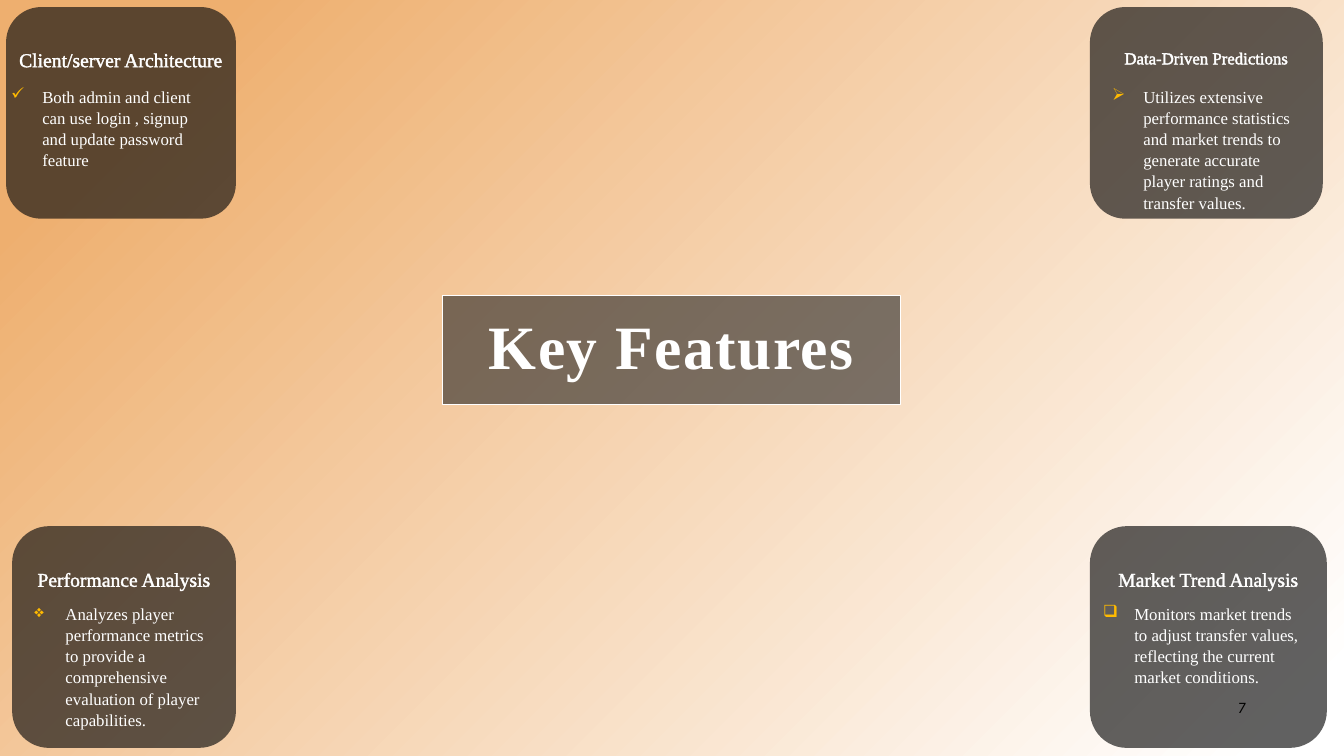
from lxml.etree import SubElement
from pptx import Presentation
from pptx.dml.color import RGBColor
from pptx.enum.shapes import MSO_SHAPE
from pptx.enum.text import MSO_ANCHOR, PP_ALIGN
from pptx.oxml import parse_xml
from pptx.oxml.ns import nsdecls, qn
from pptx.util import Inches, Pt

COLORS = {"text": "FFFFFF", "panel": "262626", "card": "0D0D0D",
          "bullet": "FFBA00", "number": "000000",
          "glow": "FFFFFF", "edge": "EEAF6F"}
SERIF = "Times New Roman"

# Card box, heading, heading size, body box offset and size, bullet, body text
CARDS = [
    ((0.06, 0.07, 2.28, 2.1), "Client/server Architecture", 14,
     (0.05, 0.73, 1.86, 1.19), "✓",
     "Both admin and client can use login , signup and update password feature"),
    ((10.81, 0.07, 2.31, 2.1), "Data-Driven Predictions", 12,
     (0.22, 0.73, 1.92, 1.1), "➢",
     "Utilizes extensive performance statistics and market trends to generate "
     "accurate player ratings and transfer values."),
    ((0.12, 5.22, 2.22, 2.2), "Performance Analysis", 14,
     (0.22, 0.71, 1.73, 1.35), "❖",
     "Analyzes player performance metrics to provide a comprehensive "
     "evaluation of player capabilities."),
    ((10.81, 5.22, 2.35, 2.2), "Market Trend Analysis", 14,
     (0.13, 0.71, 2.02, 1.12), "❑",
     "Monitors market trends to adjust transfer values, reflecting the "
     "current market conditions."),
]


def rgb(name):
    return RGBColor.from_string(COLORS[name])


def set_attrs(obj, values):
    for name, value in values.items():
        setattr(obj, name, value)


def add_panel(s, kind, box, color, alpha):
    """Add a translucent shape without shadow or line."""
    sp = s.shapes.add_shape(kind, *map(Inches, box))
    sp.shadow.inherit = False
    sp.line.fill.background()
    sp.fill.solid()
    sp.fill.fore_color.rgb = rgb(color)
    clr = sp.fill._xPr.find(qn("a:solidFill"))[0]
    SubElement(clr, qn("a:alpha"), val=str(alpha * 1000))
    return sp


def write(sp, text, size, frame, para, font=SERIF, color="text", bold=False,
          bullet=None):
    """Fill a shape with one formatted paragraph and return its run."""
    tf = sp.text_frame
    set_attrs(tf, {"word_wrap": True, **frame})
    p = tf.paragraphs[0]
    if bullet:
        pPr = p._p.get_or_add_pPr()
        pPr.set("marL", str(Inches(0.31)))
        pPr.set("indent", str(-Inches(0.31)))
        clr = SubElement(pPr, qn("a:buClr"))
        SubElement(clr, qn("a:srgbClr"), val=COLORS["bullet"])
        SubElement(pPr, qn("a:buChar"), char=bullet)
    set_attrs(p, para)
    r = p.add_run()
    r.text = text
    set_attrs(r.font, {"name": font, "size": Pt(size), "bold": bold})
    r.font.color.rgb = rgb(color)
    return r


def add_background(s):
    """Gradient spreading from the bottom right corner."""
    fill = s.background.fill
    fill.gradient()
    old = s._element.find(".//" + qn("a:gradFill"))
    stops = "".join(
        f'<a:gs pos="{pos * 1000}"><a:srgbClr val="{COLORS[c]}"/></a:gs>'
        for pos, c in ((4, "glow"), (89, "edge")))
    old.getparent().replace(old, parse_xml(
        f'<a:gradFill {nsdecls("a")} rotWithShape="1"><a:gsLst>{stops}</a:gsLst>'
        '<a:path path="circle"><a:fillToRect l="100000" t="100000"/></a:path>'
        '<a:tileRect r="-100000" b="-100000"/></a:gradFill>'))


def add_title(s, box, text):
    sp = add_panel(s, MSO_SHAPE.RECTANGLE, box, "panel", 60)
    sp.line.color.rgb = rgb("text")
    sp.line.width = Pt(0.75)
    r = write(sp, text, 44, {"vertical_anchor": MSO_ANCHOR.MIDDLE},
              {"alignment": PP_ALIGN.CENTER, "line_spacing": 0.9}, bold=True)
    r.font._element.set("spc", "100")


def add_card(s, box, heading, size, body_box, bullet, body):
    # Rounded card with outlined heading
    sp = add_panel(s, MSO_SHAPE.ROUNDED_RECTANGLE, box, "card", 65)
    sides = {"margin_left": 0, "margin_right": 0,
             "vertical_anchor": MSO_ANCHOR.TOP}
    r = write(sp, heading, size,
              {**sides, "margin_top": Inches(0.3), "margin_bottom": 0},
              {"alignment": PP_ALIGN.CENTER, "space_after": Pt(18)})
    r.font._element.insert(0, parse_xml(
        f'<a:ln {nsdecls("a")} w="{Pt(0.75)}"><a:solidFill>'
        f'<a:srgbClr val="{COLORS["text"]}"/></a:solidFill></a:ln>'))

    # Bulleted description
    dx, dy, w, h = body_box
    tb = s.shapes.add_textbox(*map(Inches, (box[0] + dx, box[1] + dy, w, h)))
    write(tb, body, 12, sides,
          {"alignment": PP_ALIGN.LEFT, "line_spacing": 1.05,
           "space_after": Pt(2)}, bullet=bullet)


def add_number(s, box, text):
    tb = s.shapes.add_textbox(*map(Inches, box))
    write(tb, text, 11, {}, {"alignment": PP_ALIGN.RIGHT},
          font="League Spartan", color="number")


def main():
    prs = Presentation()
    prs.slide_width, prs.slide_height = Inches(13.33), Inches(7.5)
    s = prs.slides.add_slide(prs.slide_layouts[6])
    add_background(s)
    add_title(s, (4.39, 2.93, 4.54, 1.08), "Key Features")
    for card in CARDS:
        add_card(s, *card)
    add_number(s, (11.78, 6.88, 0.68, 0.4), "7")
    prs.save("out.pptx")


if __name__ == "__main__":
    main()
